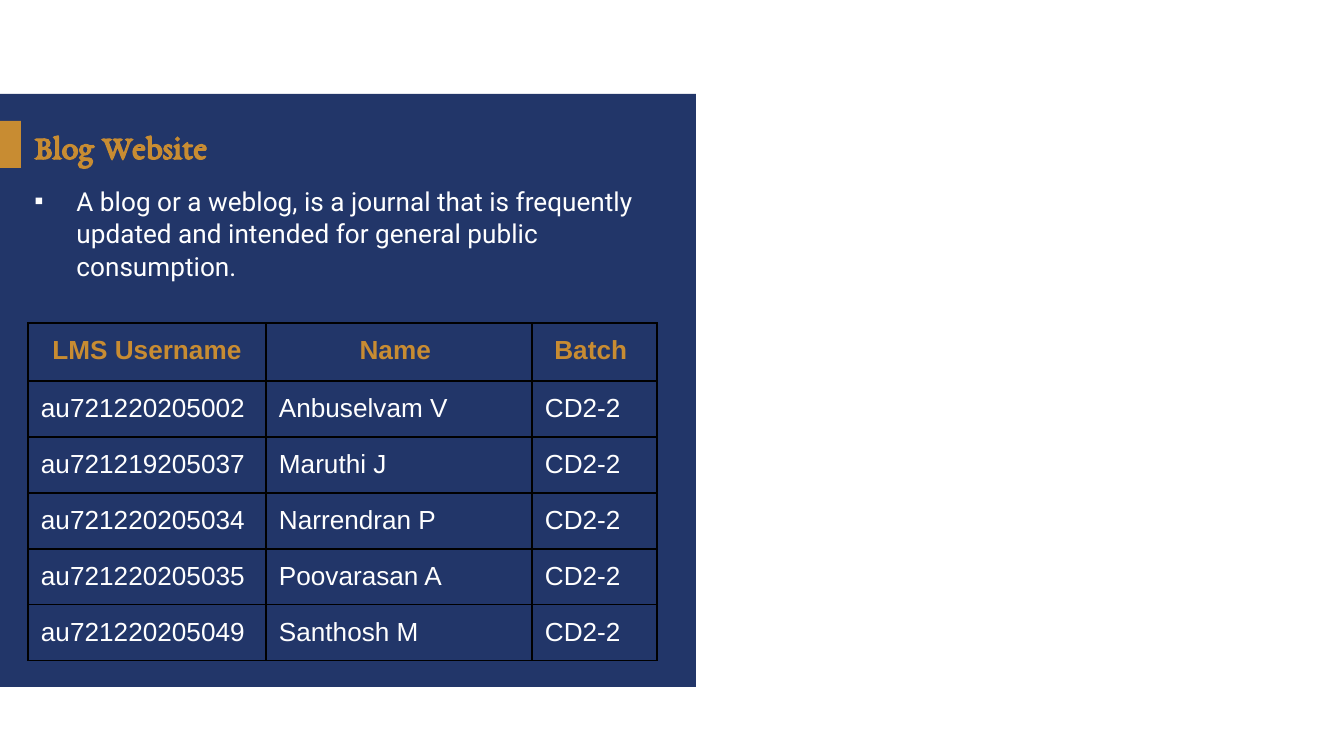
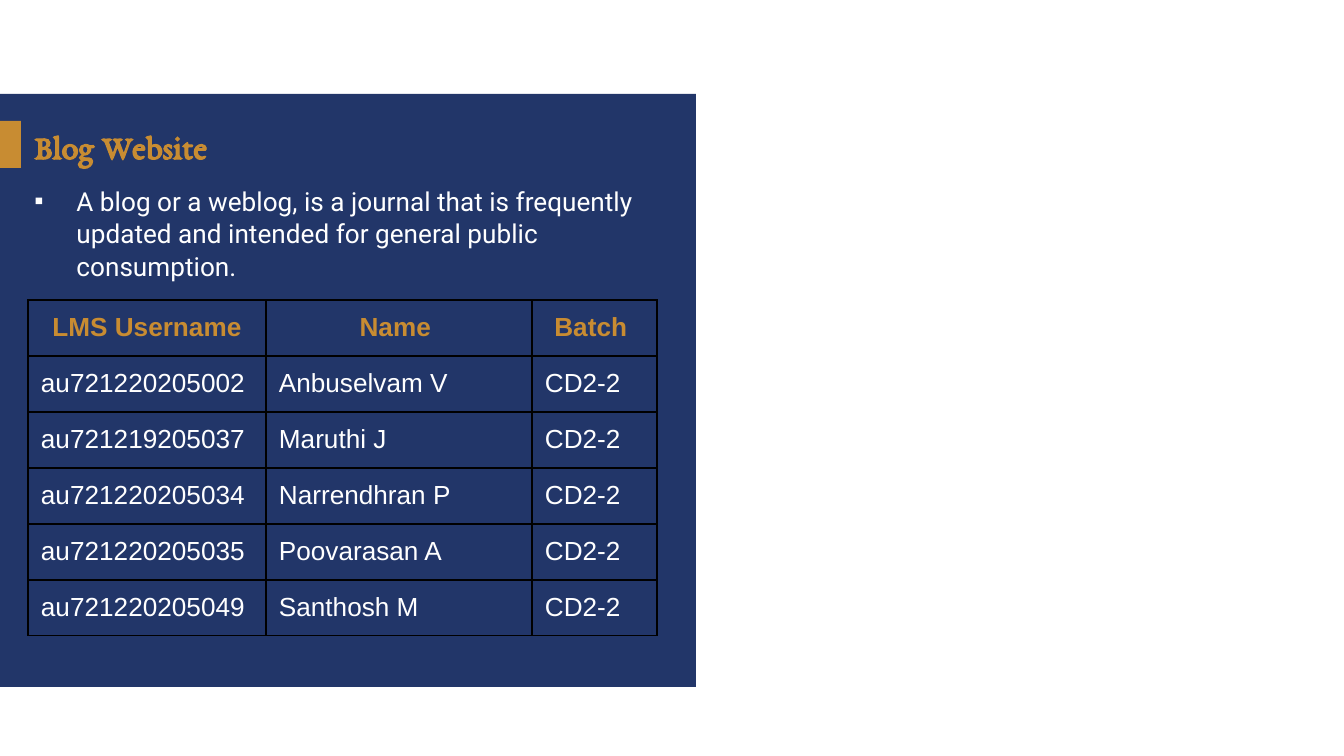
import pptx
import pptx.dml.color
import pptx.enum.shapes
import pptx.enum.text
import pptx.oxml.ns
import pptx.util
from lxml import etree

# Content
TITLE = "Blog Website"
BODY = ("A blog or a weblog, is a journal that is frequently updated "
        "and intended for general public consumption.")
HEADS = ("LMS Username", "Name ", "Batch ")
BATCH = "CD2-2"


def team(third):
    return [("au721220205002", "Anbuselvam V"),
            ("au721219205037", "Maruthi J"),
            ("au721220205034", third),
            ("au721220205035", "Poovarasan A"),
            ("au721220205049", "Santhosh M")]


SLIDES = [
    {"team": team("Narrendran P"), "body": (21, 177, 673, 504),
     "top": 323, "head": 58},
    {"team": team("Narrendhran P"), "body": (21, 177, 668, 446),
     "top": 300, "head": 56},
]

# Shared look, lengths in px
NAVY, GOLD, WHITE, BLACK = "223669", "C88C32", "FFFFFF", "000000"
BANDS = [((0, 94, 696, 593), NAVY), ((0, 121, 21, 47), GOLD)]
TITLE_BOX = (21, 120, 503, 51)
LEFT, COLS, ROW = 28, (238, 266, 125), 56
PAD, INDENT = 13, 42
ALIGN = pptx.enum.text.PP_ALIGN
ANCHOR = pptx.enum.text.MSO_ANCHOR


def px(n):
    return pptx.util.Emu(round(n * 914400 / 134.4))


def rgb(code):
    return pptx.dml.color.RGBColor.from_string(code)


def place(shape, box):
    shape.left, shape.top, shape.width, shape.height = map(px, box)


def sub(node, tag, **attrs):
    return etree.SubElement(node, pptx.oxml.ns.qn(tag), attrs)


def write(par, text, size, face, color, bold=False, align=ALIGN.LEFT):
    par.alignment = align
    run = par.add_run()
    run.text = text
    font = run.font
    font.size, font.name, font.bold = pptx.util.Pt(size), face, bold
    font.color.rgb = rgb(color)


def add_bands(layout, slide):
    # Bands are drawn once, then moved behind everything on the layout
    for i, (box, color) in enumerate(BANDS):
        band = slide.shapes.add_shape(
            pptx.enum.shapes.MSO_SHAPE.RECTANGLE, *map(px, box))
        band.shadow.inherit = False
        band.fill.solid()
        band.fill.fore_color.rgb = rgb(color)
        band.line.fill.background()
        band.element.nvSpPr.cNvPr.id = 100 + i
        layout.shapes.element.insert(2 + i, band.element)


def frame(shape, box, anchor):
    place(shape, box)
    text = shape.text_frame
    text.word_wrap = True
    text.auto_size = pptx.enum.text.MSO_AUTO_SIZE.NONE
    text.vertical_anchor = anchor
    return text.paragraphs[0]


def add_text(slide, box):
    head = frame(slide.shapes.title, TITLE_BOX, ANCHOR.MIDDLE)
    write(head, TITLE, 18.3, "EB Garamond", GOLD, True)

    par = frame(slide.placeholders[1], box, ANCHOR.TOP)
    props = par._p.get_or_add_pPr()
    props.set("marL", str(px(INDENT)))
    props.set("indent", str(-px(INDENT)))
    sub(sub(props, "a:buClr"), "a:srgbClr", val=WHITE)
    sub(props, "a:buFont", typeface="Arial")
    sub(props, "a:buChar", char="▪")
    par.space_before = pptx.util.Pt(0)
    par.line_spacing = 1.04
    write(par, BODY, 14, "Roboto", WHITE)


def style(cell):
    props = cell._tc.get_or_add_tcPr()
    for side in "LRTB":
        line = sub(props, "a:ln" + side, w=str(pptx.util.Pt(0.75)))
        sub(sub(line, "a:solidFill"), "a:srgbClr", val=BLACK)
    cell.fill.background()
    cell.margin_left = cell.margin_right = px(PAD)
    cell.margin_top = cell.margin_bottom = px(PAD)


def add_table(slide, rows, top, head):
    cells = [HEADS] + [(user, name, BATCH) for user, name in rows]
    tall = [head] + [ROW] * len(rows)
    box = (LEFT, top, sum(COLS), sum(tall))
    table = slide.shapes.add_table(
        len(cells), len(COLS), *map(px, box)).table
    table.first_row = table.horz_banding = False
    for col, wide in zip(table.columns, COLS):
        col.width = px(wide)
    for r, row in enumerate(cells):
        table.rows[r].height = px(tall[r])
        look = (WHITE, False, ALIGN.LEFT) if r else (GOLD, True, ALIGN.CENTER)
        for c, text in enumerate(row):
            cell = table.cell(r, c)
            style(cell)
            write(cell.text_frame.paragraphs[0], text, 14, "Arial", *look)


def main():
    deck = pptx.Presentation()
    deck.slide_width, deck.slide_height = px(1344), px(756)
    layout = deck.slide_layouts[1]
    for i, page in enumerate(SLIDES):
        slide = deck.slides.add_slide(layout)
        if i == 0:
            add_bands(layout, slide)
        add_text(slide, page["body"])
        add_table(slide, page["team"], page["top"], page["head"])
    deck.save("out.pptx")


if __name__ == "__main__":
    main()
